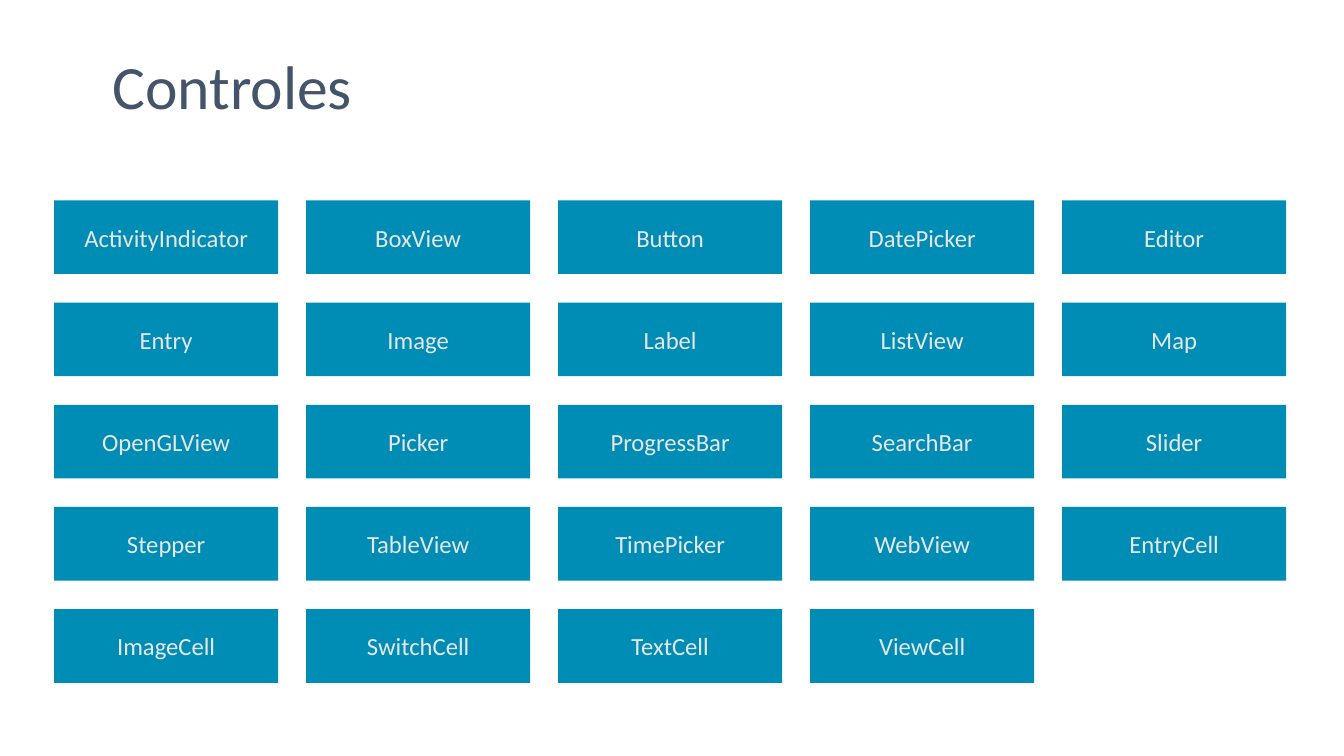
from pptx import Presentation
from pptx.dml.color import RGBColor
from pptx.enum.shapes import MSO_SHAPE as Shape
from pptx.enum.text import MSO_ANCHOR as Anchor, PP_ALIGN as Align
from pptx.util import Pt

TEAL = RGBColor(0x00, 0x8D, 0xB5)
LIGHT_GRAY = RGBColor(0xE7, 0xE6, 0xE6)
SLATE = RGBColor(0x44, 0x54, 0x6A)
FONT = "Calibri"

CONTROLS = [
    "ActivityIndicator", "BoxView", "Button", "DatePicker", "Editor",
    "Entry", "Image", "Label", "ListView", "Map",
    "OpenGLView", "Picker", "ProgressBar", "SearchBar", "Slider",
    "Stepper", "TableView", "TimePicker", "WebView", "EntryCell",
    "ImageCell", "SwitchCell", "TextCell", "ViewCell",
]
COLUMNS = 5
GRID_LEFT, GRID_TOP = 29, 107.4
TILE_WIDTH, TILE_HEIGHT = 120, 39.4
COLUMN_STEP, ROW_STEP = 135, 54.75

presentation = Presentation()
presentation.slide_width, presentation.slide_height = Pt(720), Pt(405)
slide = presentation.slides.add_slide(presentation.slide_layouts[6])

# Grid of control tiles
for index, name in enumerate(CONTROLS):
    row, column = divmod(index, COLUMNS)
    tile = slide.shapes.add_shape(
        Shape.ROUNDED_RECTANGLE,
        Pt(GRID_LEFT + column * COLUMN_STEP), Pt(GRID_TOP + row * ROW_STEP),
        Pt(TILE_WIDTH), Pt(TILE_HEIGHT))
    tile.adjustments[0] = 0
    tile.shadow.inherit = False
    tile.fill.solid()
    tile.fill.fore_color.rgb = TEAL
    tile.line.fill.background()
    tile.text_frame.vertical_anchor = Anchor.MIDDLE
    paragraph = tile.text_frame.paragraphs[0]
    paragraph.text = name
    paragraph.alignment = Align.CENTER
    paragraph.font.name = FONT
    paragraph.font.size = Pt(13.2)
    paragraph.font.color.rgb = LIGHT_GRAY

# Title
title = slide.shapes.add_textbox(Pt(49.5), Pt(21.6), Pt(621), Pt(78.3))
frame = title.text_frame
frame.word_wrap = True
frame.vertical_anchor = Anchor.TOP
frame.margin_left = frame.margin_right = Pt(10.8)
frame.margin_top = frame.margin_bottom = Pt(8.64)
paragraph = frame.paragraphs[0]
paragraph.text = "Controles"
paragraph.line_spacing = 0.9
paragraph.font.name = FONT
paragraph.font.size = Pt(33)
paragraph.font.color.rgb = SLATE

presentation.save("out.pptx")
